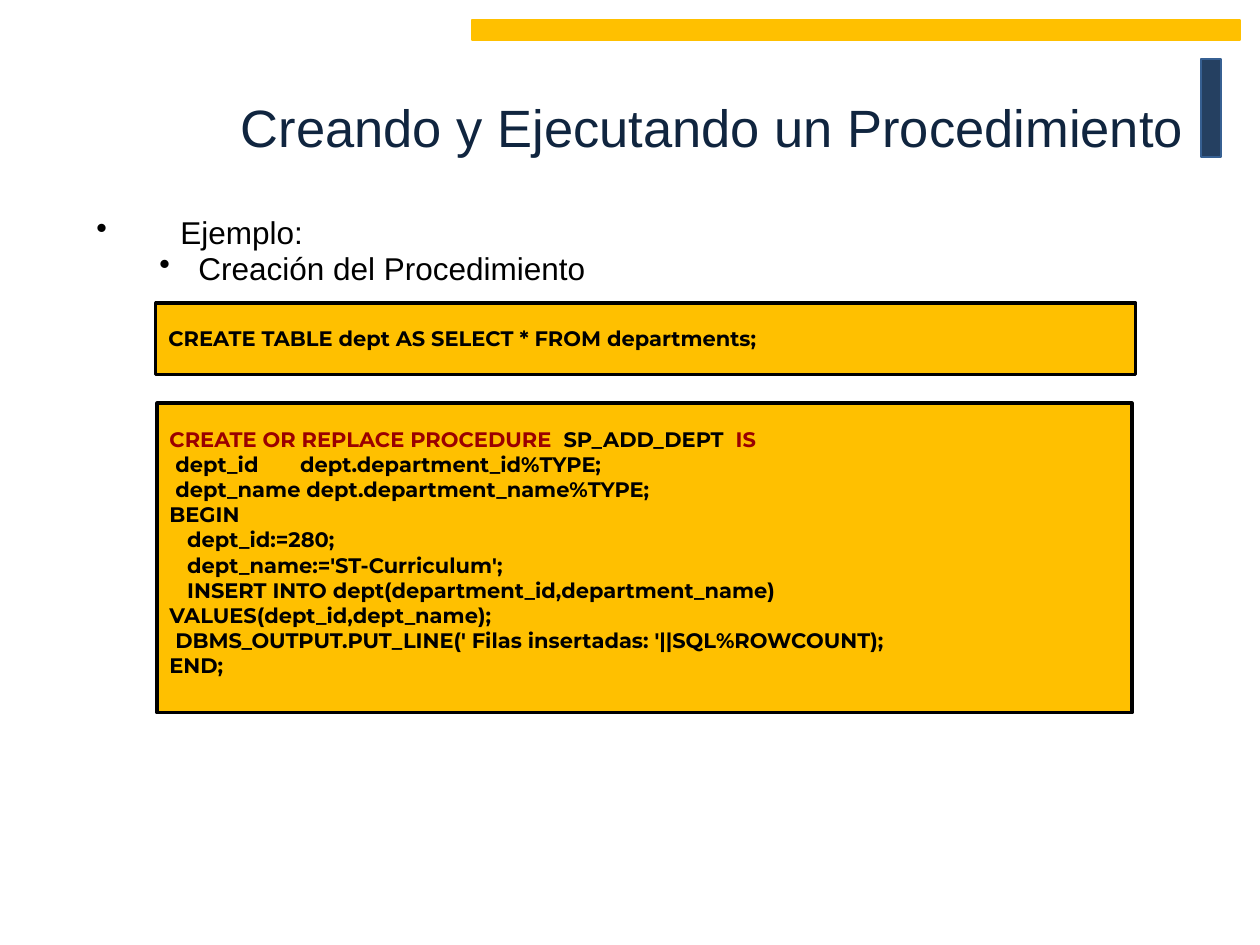
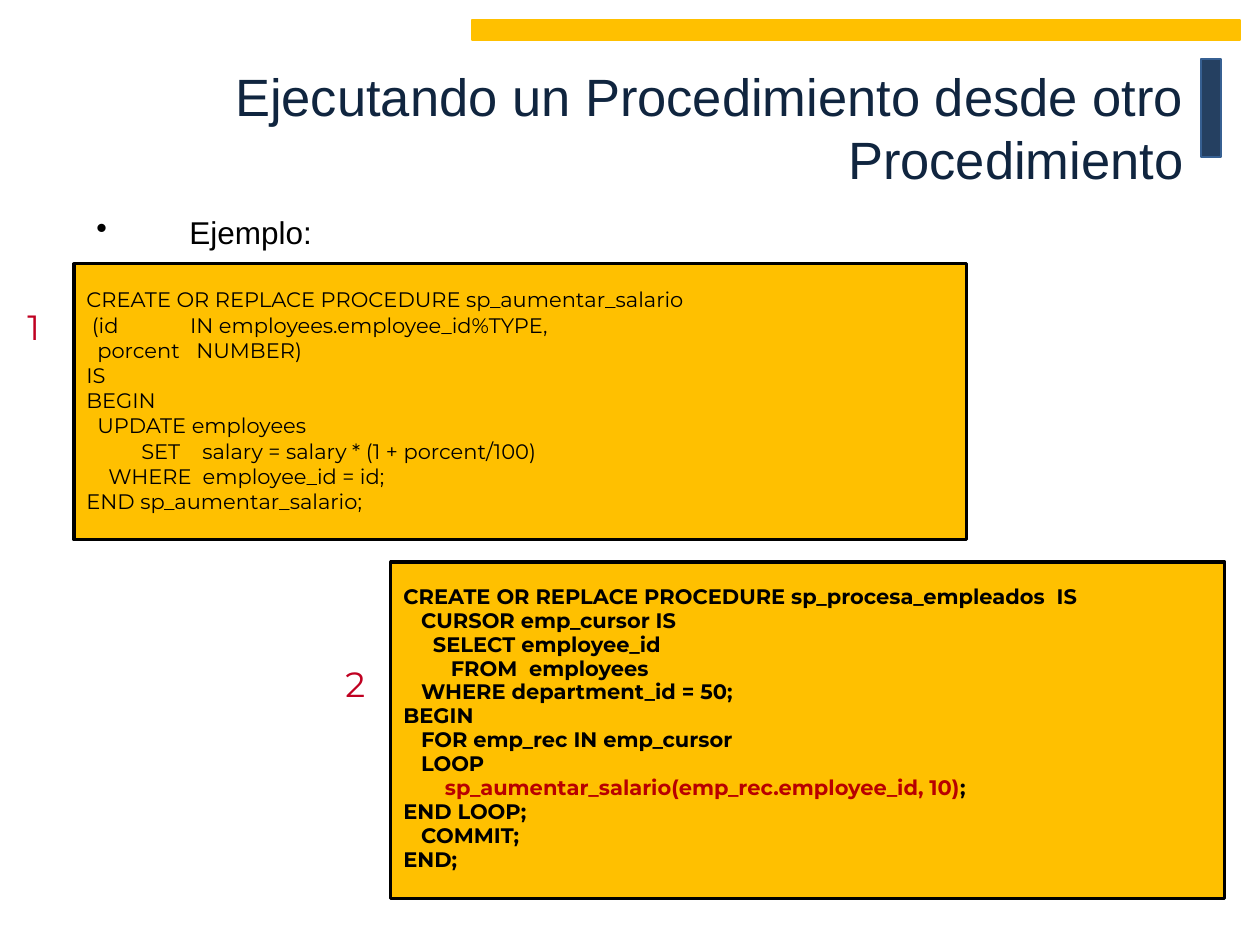
from pptx import Presentation
from pptx.dml.color import RGBColor
from pptx.enum.shapes import MSO_SHAPE
from pptx.enum.text import MSO_ANCHOR, PP_ALIGN
from pptx.oxml import parse_xml
from pptx.oxml.ns import nsdecls
from pptx.util import Pt

RECT = MSO_SHAPE.RECTANGLE
TOP, MIDDLE = MSO_ANCHOR.TOP, MSO_ANCHOR.MIDDLE
LEFT, RIGHT = PP_ALIGN.LEFT, PP_ALIGN.RIGHT

GOLD, NAVY, BLUE, INK = "FFC000", "254061", "376092", "10253F"
BLACK, MAROON, RED, CRIMSON = "000000", "9A0000", "B80000", "C00021"
SANS, MONT = "Arial", "Montserrat"

TABLE_SQL = ["CREATE TABLE dept AS SELECT * FROM departments;"]
ADD_SQL = [
    [("CREATE OR REPLACE PROCEDURE", MAROON), ("  SP_ADD_DEPT  ", BLACK),
     ("IS", MAROON)],
    " dept_id       dept.department_id%TYPE;",
    " dept_name dept.department_name%TYPE;",
    "BEGIN",
    "   dept_id:=280;",
    "   dept_name:='ST-Curriculum';",
    "   INSERT INTO dept(department_id,department_name) \tVALUES(dept_id,dept_name);",
    " DBMS_OUTPUT.PUT_LINE(' Filas insertadas: '||SQL%ROWCOUNT);",
    "END;",
]
RAISE_SQL = [
    "CREATE OR REPLACE PROCEDURE sp_aumentar_salario",
    " (id             IN employees.employee_id%TYPE,",
    "  porcent   NUMBER)",
    "IS",
    "BEGIN",
    "  UPDATE employees",
    "          SET    salary = salary * (1 + porcent/100)",
    "    WHERE  employee_id = id;",
    "END sp_aumentar_salario;",
]
LOOP_SQL = [
    "CREATE OR REPLACE PROCEDURE sp_procesa_empleados  IS",
    "   CURSOR emp_cursor IS",
    "     SELECT employee_id",
    "        FROM  employees",
    "   WHERE department_id = 50;",
    "BEGIN",
    "   FOR emp_rec IN emp_cursor",
    "   LOOP",
    [("       ", BLACK), ("sp_aumentar_salario(emp_rec.employee_id, 10)", RED),
     (";", BLACK)],
    "END LOOP;",
    "   COMMIT;",
    "END;",
]


def px(n):
    return round(n * 914400 / 126)


def rgb(code):
    return RGBColor.from_string(code)


def style(item, values):
    for name, value in values.items():
        setattr(item, name, value)


def write(par, runs, font, size, color, bold=False, **form):
    """Fill a paragraph from a string or from (text, colour) pairs."""
    style(par, form)
    for text, tint in [(runs, color)] if isinstance(runs, str) else runs:
        run = par.add_run()
        run.text = text
        style(run.font, {"name": font, "size": Pt(size), "bold": bold})
        run.font.color.rgb = rgb(tint)


def line(frame, index):
    return frame.add_paragraph() if index else frame.paragraphs[0]


def block(slide, box, fill, edge, width):
    shape = slide.shapes.add_shape(RECT, *map(px, box))
    shape.shadow.inherit = False
    shape.fill.solid()
    shape.fill.fore_color.rgb = rgb(fill)
    shape.line.color.rgb = rgb(edge)
    shape.line.width = Pt(width)
    return shape


def label(slide, box, anchor=TOP):
    frame = slide.shapes.add_textbox(*map(px, box)).text_frame
    style(frame, {"word_wrap": True, "vertical_anchor": anchor})
    return frame


def page(deck, title, left):
    """Add a slide with the shared bands and its title."""
    slide = deck.slides.add_slide(deck.slide_layouts[6])
    block(slide, (1201, 59, 20, 98), NAVY, BLUE, 0.75)
    block(slide, (472, 20, 768, 20), GOLD, GOLD, 0.75)
    frame = label(slide, (left, 26, 1196 - left, 202), MIDDLE)
    write(frame.paragraphs[0], title, SANS, 30, INK,
          alignment=RIGHT, line_spacing=Pt(36))
    return slide


def bullets(slide, items):
    """Items are (text, text indent, hang, level)."""
    frame = label(slide, (84, 214, 1101, 57))
    for i, (text, inset, hang, level) in enumerate(items):
        par = line(frame, i)
        props = par._p.get_or_add_pPr()
        props.set("marL", str(px(inset)))
        props.set("indent", str(-px(hang)))
        props.append(parse_xml(f'<a:buChar {nsdecls("a")} char="•"/>'))
        write(par, text, SANS, 18, BLACK, level=level, line_spacing=0.8,
              space_before=Pt(3.6 if i else 0))


def code(slide, box, lines, bold=True, pitch=1.0):
    frame = block(slide, box, GOLD, BLACK, 1.75).text_frame
    style(frame, {"word_wrap": True, "vertical_anchor": TOP,
                  "margin_top": px(23)})
    for i, runs in enumerate(lines):
        write(line(frame, i), runs, MONT, 12, BLACK, bold,
              alignment=LEFT, line_spacing=pitch)


def step(slide, x, y, mark):
    frame = label(slide, (x, y, 39, 57))
    write(frame.paragraphs[0], mark, MONT, 20, CRIMSON, line_spacing=0.8)


def main():
    deck = Presentation()
    style(deck, {"slide_width": px(1260), "slide_height": px(945)})

    # Creating a procedure
    slide = page(deck, "Creando y Ejecutando un Procedimiento", 122)
    bullets(slide, [("Ejemplo:", 84, 84, 0),
                    ("Creación del Procedimiento", 102, 39, 1)])
    code(slide, (157, 403, 975, 310), ADD_SQL)
    code(slide, (156, 303, 980, 72), TABLE_SQL)

    # Calling it from another procedure
    slide = page(deck, "Ejecutando un Procedimiento desde otro Procedimiento", 84)
    bullets(slide, [("Ejemplo:", 93, 93, 0)])
    code(slide, (74, 264, 893, 276), RAISE_SQL, bold=False)
    code(slide, (391, 562, 834, 337), LOOP_SQL, pitch=0.95)
    step(slide, 15, 307, "1")
    step(slide, 333, 664, "2")

    deck.save("out.pptx")


if __name__ == "__main__":
    main()
